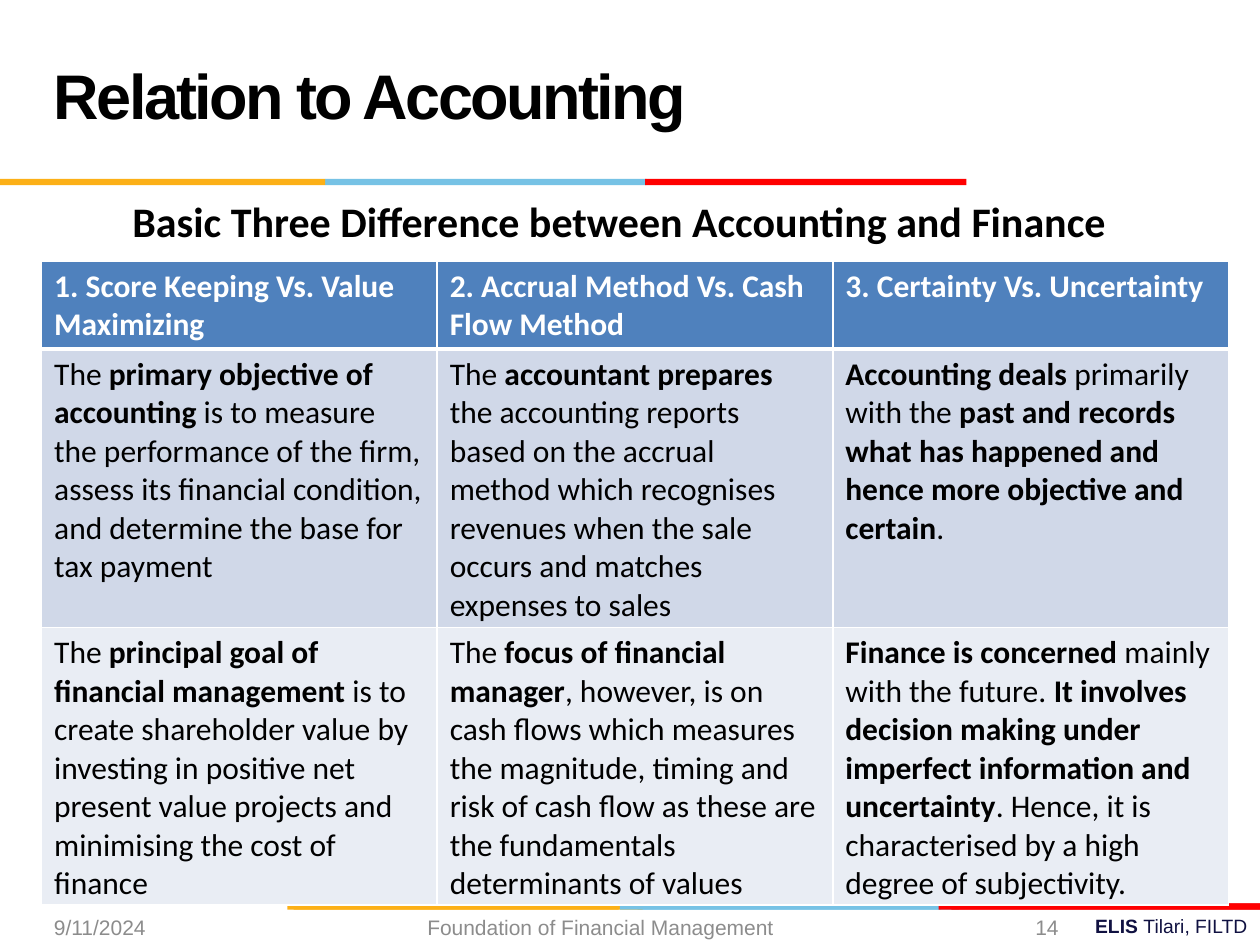
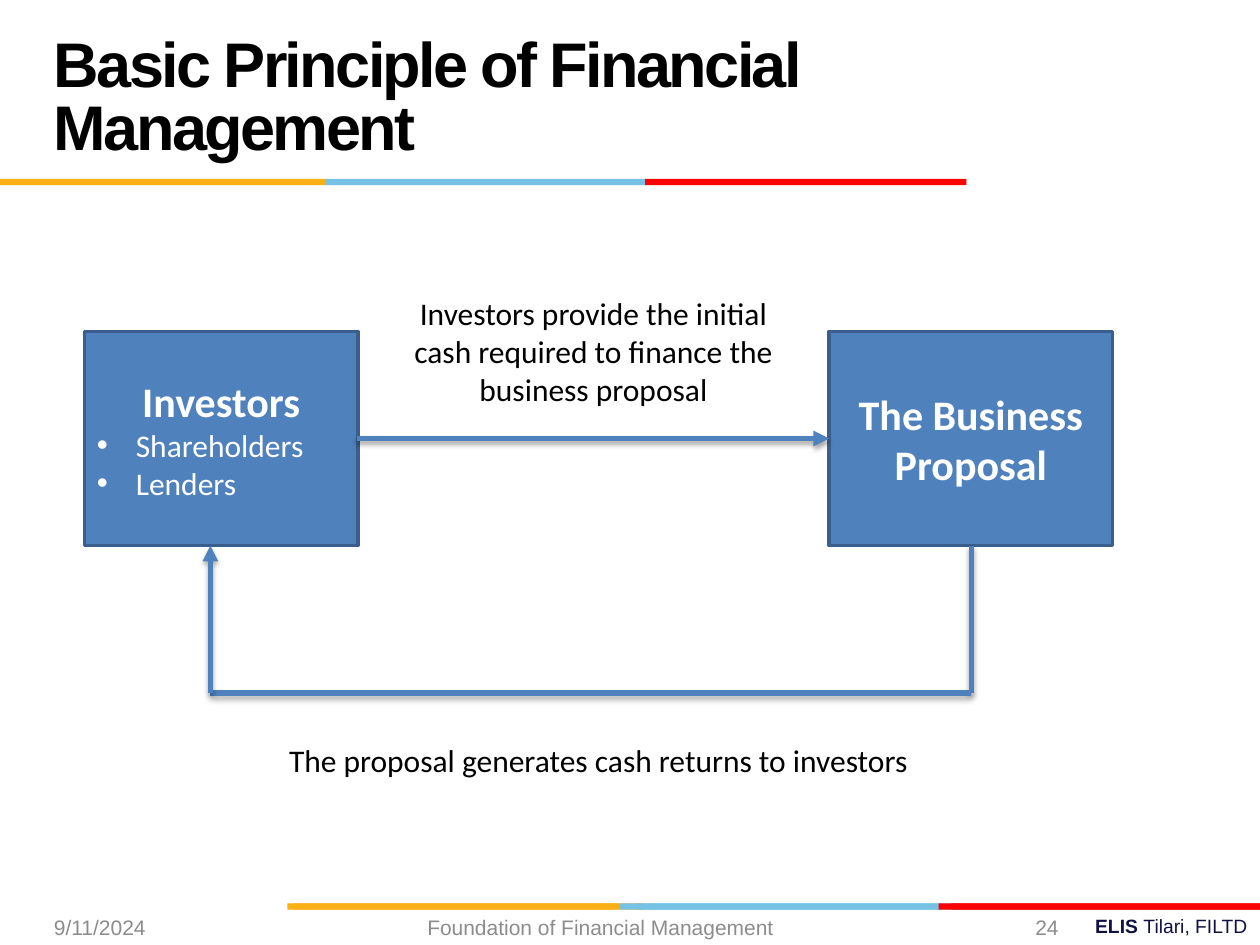
from dataclasses import dataclass

from lxml import etree
from pptx import Presentation
from pptx.dml.color import RGBColor
from pptx.enum.shapes import MSO_CONNECTOR, MSO_SHAPE
from pptx.enum.text import MSO_ANCHOR, PP_ALIGN
from pptx.oxml.ns import qn
from pptx.util import Emu, Pt

RECTANGLE = MSO_SHAPE.RECTANGLE
STRAIGHT = MSO_CONNECTOR.STRAIGHT
LEFT, CENTER, RIGHT = PP_ALIGN.LEFT, PP_ALIGN.CENTER, PP_ALIGN.RIGHT
TOP, MIDDLE = MSO_ANCHOR.TOP, MSO_ANCHOR.MIDDLE

BLACK = RGBColor(0x00, 0x00, 0x00)
WHITE = RGBColor(0xFF, 0xFF, 0xFF)
GREY = RGBColor(0x8C, 0x8C, 0x8C)
NAVY = RGBColor(0x10, 0x11, 0x41)
AMBER = RGBColor(0xFC, 0xB0, 0x17)
SKY = RGBColor(0x76, 0xC2, 0xE5)
RED = RGBColor(0xFF, 0x00, 0x00)
CRIMSON = RGBColor(0xE3, 0x1C, 0x24)
BLUE = RGBColor(0x4F, 0x81, 0xBD)
DARK_BLUE = RGBColor(0x3A, 0x5F, 0x8C)
PALE_BLUE = RGBColor(0xD0, 0xD8, 0xE8)
PALEST_BLUE = RGBColor(0xE9, 0xED, 0xF4)

PX_PER_INCH = 100
EMU_PER_PX = 914400 // PX_PER_INCH
BAND_HEIGHT = 5
TITLE_BAND_TOP = 142
FOOTER_BAND_TOP = 717


def px(length: int) -> Emu:
    return Emu(length * EMU_PER_PX)


@dataclass(frozen=True)
class Box:
    left: int
    top: int
    width: int
    height: int

    def emu(self) -> tuple[Emu, Emu, Emu, Emu]:
        return px(self.left), px(self.top), px(self.width), px(self.height)


@dataclass(frozen=True)
class Style:
    size: int
    color: RGBColor = BLACK
    font: str = "Calibri"
    bold: bool = False
    align: PP_ALIGN = LEFT


@dataclass(frozen=True)
class Band:
    left: int
    top: int
    width: int
    color: RGBColor


@dataclass(frozen=True)
class Flow:
    start: tuple[int, int]
    end: tuple[int, int]
    arrow: bool = False


BANDS = (
    Band(506, FOOTER_BAND_TOP, 255, SKY),
    Band(755, FOOTER_BAND_TOP, 245, CRIMSON),
    Band(228, FOOTER_BAND_TOP, 282, AMBER),
    Band(492, FOOTER_BAND_TOP, 255, SKY),
    Band(233, FOOTER_BAND_TOP, 258, AMBER),
    Band(745, FOOTER_BAND_TOP, 255, RED),
    Band(258, TITLE_BAND_TOP, 255, SKY),
    Band(0, TITLE_BAND_TOP, 258, AMBER),
    Band(512, TITLE_BAND_TOP, 255, RED),
)

TITLE = Style(36, font="Arial", bold=True)
HEADING = Style(24, bold=True, align=CENTER)
NODE_HEADING = Style(24, WHITE, bold=True, align=CENTER)
NODE_ITEM = Style(18, WHITE)
CAPTION = Style(18, align=CENTER)
HEADER_CELL = Style(18, WHITE, bold=True)
BODY_CELL = Style(18)
INSTITUTE = Style(11, NAVY, "Arial", align=RIGHT)

COMPARISON = (
    ("1. Score Keeping Vs. Value Maximizing",
     "2. Accrual Method Vs. Cash Flow Method",
     "3. Certainty Vs. Uncertainty"),
    ("The *primary objective of accounting* is to measure the performance of the firm, "
     "assess its financial condition, and determine the base for tax payment",
     "The *accountant prepares *the accounting reports based on the accrual method which "
     "recognises revenues when the sale occurs and matches expenses to sales",
     "*Accounting deals *primarily with the *past and records what has happened and hence "
     "more objective and certain*."),
    ("The *principal goal of financial management* is to create shareholder value by "
     "investing in positive net present value projects and minimising the cost of finance",
     "The *focus of financial manager*, however, is on cash flows which measures the "
     "magnitude, timing and risk of cash flow as these are the fundamentals determinants "
     "of values",
     "*Finance is concerned *mainly with the future. *It involves decision making under "
     "imperfect information and uncertainty*. Hence, it is characterised by a high degree "
     "of subjectivity."),
)
ROW_HEIGHTS = (69, 221, 220)
ROW_FILLS = (BLUE, PALE_BLUE, PALEST_BLUE)
COLUMN_WIDTH = 314

INVESTORS = Box(67, 263, 217, 170)
PROPOSAL = Box(658, 263, 225, 170)
FLOWS = (
    Flow((283, 348), (658, 348), True),
    Flow((771, 433), (771, 550)),
    Flow((771, 550), (167, 550)),
    Flow((167, 550), (167, 433), True),
)


def write(paragraph, text: str, style: Style) -> None:
    paragraph.alignment = style.align
    for index, part in enumerate(text.split("*")):
        if part:
            run = paragraph.add_run()
            run.text = part
            run.font.size = Pt(style.size)
            run.font.name = style.font
            run.font.color.rgb = style.color
            run.font.bold = style.bold or index % 2 == 1


def add_text(slide, box: Box, text: str, style: Style, anchor: MSO_ANCHOR = MIDDLE):
    frame = slide.shapes.add_textbox(*box.emu()).text_frame
    frame.word_wrap = True
    frame.vertical_anchor = anchor
    write(frame.paragraphs[0], text, style)
    return frame.paragraphs[0]


def add_rectangle(slide, box: Box, fill: RGBColor, outline: RGBColor | None = None):
    rectangle = slide.shapes.add_shape(RECTANGLE, *box.emu())
    rectangle.shadow.inherit = False
    rectangle.fill.solid()
    rectangle.fill.fore_color.rgb = fill
    if outline is None:
        rectangle.line.fill.background()
    else:
        rectangle.line.color.rgb = outline
        rectangle.line.width = Pt(2)
    frame = rectangle.text_frame
    frame.word_wrap = True
    frame.vertical_anchor = MIDDLE
    return frame


def add_bullet(frame, text: str) -> None:
    item = frame.add_paragraph()
    write(item, text, NODE_ITEM)
    properties = item._p.get_or_add_pPr()
    properties.set("marL", str(px(31)))
    properties.set("indent", str(px(-31)))
    etree.SubElement(properties, qn("a:buFont"), typeface="Arial")
    etree.SubElement(properties, qn("a:buChar"), char="•")


def add_flow(slide, flow: Flow) -> None:
    connector = slide.shapes.add_connector(
        STRAIGHT, *(px(value) for value in flow.start + flow.end))
    connector.line.color.rgb = BLUE
    connector.line.width = Pt(3)
    if flow.arrow:
        etree.SubElement(connector.line._get_or_add_ln(), qn("a:tailEnd"), type="triangle")
    effects = etree.SubElement(connector._element.spPr, qn("a:effectLst"))
    shadow = etree.SubElement(
        effects, qn("a:outerShdw"), blurRad=str(Pt(3.1)), dist=str(Pt(1.8)),
        dir="5400000", rotWithShape="0")
    color = etree.SubElement(shadow, qn("a:srgbClr"), val=str(BLACK))
    etree.SubElement(color, qn("a:alpha"), val="35000")


def add_borders(cell, top: int, bottom: int) -> None:
    properties = cell._tc.get_or_add_tcPr()
    for side, points in (("L", 1), ("R", 1), ("T", top), ("B", bottom)):
        border = etree.SubElement(properties, qn(f"a:ln{side}"), w=str(Pt(points)))
        fill = etree.SubElement(border, qn("a:solidFill"))
        etree.SubElement(fill, qn("a:srgbClr"), val=str(WHITE))


def add_comparison(slide) -> None:
    box = Box(33, 207, COLUMN_WIDTH * len(COMPARISON[0]), sum(ROW_HEIGHTS))
    table = slide.shapes.add_table(
        len(COMPARISON), len(COMPARISON[0]), *box.emu()).table
    for column in table.columns:
        column.width = px(COLUMN_WIDTH)
    for row_index, texts in enumerate(COMPARISON):
        table.rows[row_index].height = px(ROW_HEIGHTS[row_index])
        style = BODY_CELL if row_index else HEADER_CELL
        for column_index, text in enumerate(texts):
            cell = table.cell(row_index, column_index)
            add_borders(cell, 3 if row_index == 1 else 1, 1 if row_index else 3)
            cell.fill.solid()
            cell.fill.fore_color.rgb = ROW_FILLS[row_index]
            write(cell.text_frame.paragraphs[0], text, style)


def add_base(presentation, title: str):
    slide = presentation.slides.add_slide(presentation.slide_layouts[6])
    add_text(slide, Box(783, 721, 217, 29), "*ELIS *Tilari, FILTD", INSTITUTE, TOP)
    for band in BANDS:
        add_rectangle(slide, Box(band.left, band.top, band.width, BAND_HEIGHT), band.color)
    heading = add_text(slide, Box(33, 17, 692, 125), title, TITLE)
    heading.line_spacing = Pt(36)
    for run in heading.runs:
        run.font._element.set("spc", "-150")
    return slide


def add_footer(slide, number: int) -> None:
    for left, width, text, align in (
        (33, 233, "9/11/2024", LEFT),
        (225, 508, "Foundation of Financial Management ", CENTER),
        (739, 111, str(number), RIGHT),
    ):
        add_text(slide, Box(left, 721, width, 29), text,
                 Style(12, GREY, "Arial", align=align))


def build_accounting(presentation) -> None:
    slide = add_base(presentation, "Relation to Accounting")
    add_comparison(slide)
    add_text(slide, Box(50, 150, 883, 50),
             "Basic Three Difference between Accounting and Finance", HEADING, TOP)
    add_footer(slide, 14)


def build_principle(presentation) -> None:
    slide = add_base(presentation, "Basic Principle of Financial Management")
    investors = add_rectangle(slide, INVESTORS, BLUE, DARK_BLUE)
    write(investors.paragraphs[0], "Investors", NODE_HEADING)
    for provider in ("Shareholders", "Lenders"):
        add_bullet(investors, provider)
    proposal = add_rectangle(slide, PROPOSAL, BLUE, DARK_BLUE)
    write(proposal.paragraphs[0], "The Business Proposal", NODE_HEADING)
    for flow in FLOWS:
        add_flow(slide, flow)
    for box, text in (
        (Box(317, 227, 308, 103),
         "Investors provide the initial cash required to finance the business proposal"),
        (Box(200, 572, 550, 63), "The proposal generates cash returns to investors"),
    ):
        write(add_rectangle(slide, box, WHITE).paragraphs[0], text, CAPTION)
    add_footer(slide, 24)


def main() -> None:
    presentation = Presentation()
    presentation.slide_width = px(1000)
    presentation.slide_height = px(750)
    build_accounting(presentation)
    build_principle(presentation)
    presentation.save("out.pptx")


if __name__ == "__main__":
    main()
